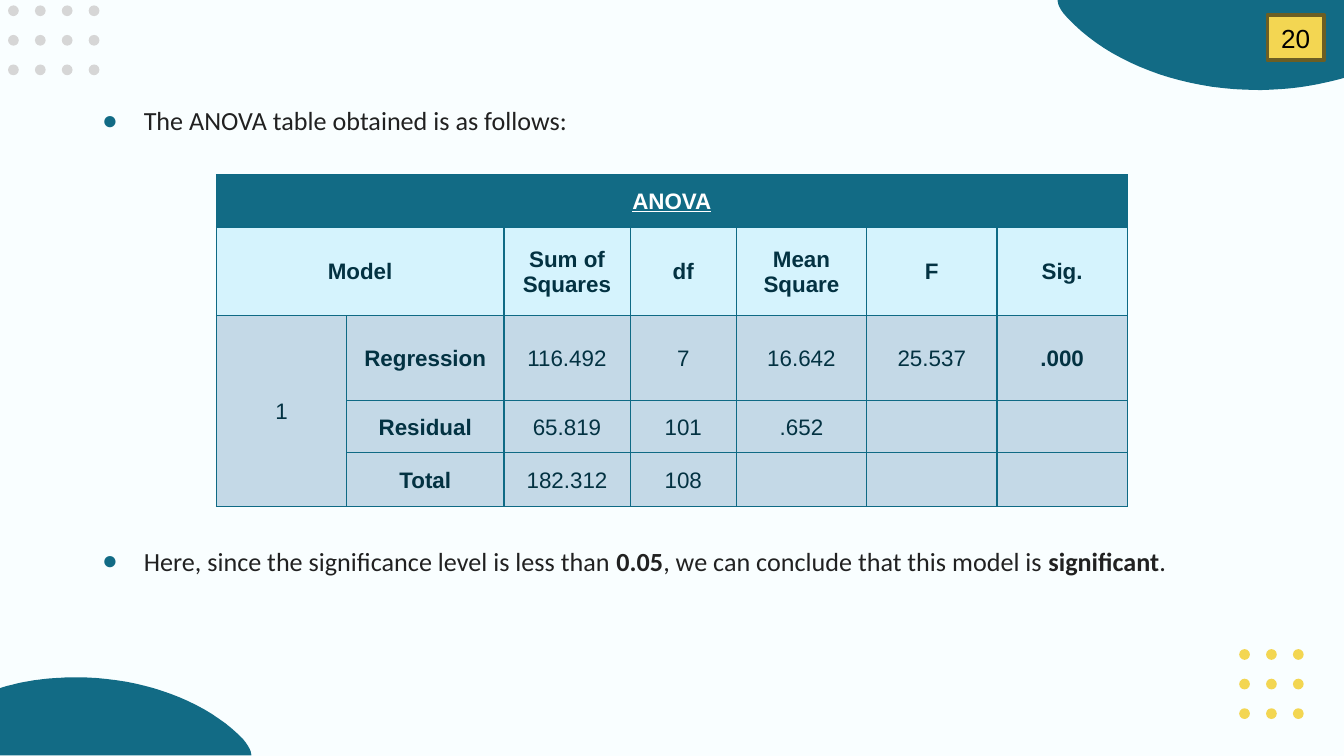
import pptx
import pptx.util
import pptx.dml.color
import pptx.enum.shapes
import pptx.enum.text
import pptx.oxml
import pptx.oxml.ns

Inches, Pt = pptx.util.Inches, pptx.util.Pt
RGB = pptx.dml.color.RGBColor
MIDDLE = pptx.enum.text.MSO_ANCHOR.MIDDLE
CENTER = pptx.enum.text.PP_ALIGN.CENTER
SHAPE = pptx.enum.shapes.MSO_SHAPE

WIDTH = Inches(10)
HEIGHT = WIDTH * 9 // 16

PAPER = RGB(0xF9, 0xFE, 0xFF)
TEAL = RGB(0x12, 0x6B, 0x85)
GRID = RGB(0x0F, 0x6A, 0x85)
PALE = RGB(0xD5, 0xF3, 0xFD)
STEEL = RGB(0xC4, 0xD9, 0xE7)
NAVY = RGB(0x03, 0x32, 0x42)
INK = RGB(0x21, 0x21, 0x21)
GREY = RGB(0xD6, 0xD6, 0xD6)
YELLOW = RGB(0xF3, 0xD6, 0x52)
BROWN = RGB(0x6B, 0x5E, 0x24)
WHITE = RGB(0xFF, 0xFF, 0xFF)
BLACK = RGB(0, 0, 0)

# Paragraphs: space before in points, then (text, bold) runs
BULLETS = [
    (0, [("The ANOVA table obtained is as follows:", False)]),
    (219, [("Here, since the significance level is less than ", False),
           ("0.05", True),
           (", we can conclude that this model is ", False),
           ("significant", True), (".", False)]),
]
ANOVA = [
    ["ANOVA", "", "", "", "", "", ""],
    ["Model", "", "Sum of Squares", "df", "Mean Square", "F", "Sig."],
    ["1", "Regression", "116.492", "7", "16.642", "25.537", ".000"],
    ["", "Residual", "65.819", "101", ".652", "", ""],
    ["", "Total", "182.312", "108", "", "", ""],
]
COLS = [0.97, 1.17, 0.94, 0.79, 0.97, 0.97, 0.97]
ROWS = [0.39, 0.66, 0.63, 0.39, 0.4]
MERGES = [((0, 0), (0, 6)), ((1, 0), (1, 1)), ((2, 0), (4, 0))]
ROW_FILLS = [TEAL, PALE, STEEL, STEEL, STEEL]

# Blobs: a start point, then line ends (1 point) or Bezier curves (3 points)
BLOBS = [
    ((0.57, 5.04), [[(0.38, 5.04), (0.19, 5.06), (0, 5.12)],
                    [(0, 5.62)], [(1.87, 5.62)],
                    [(1.87, 5.58), (1.84, 5.54), (1.81, 5.5)],
                    [(1.54, 5.22), (1.07, 5.04), (0.57, 5.04)]]),
    ((9.36, 0.67), [[(9.57, 0.67), (9.79, 0.64), (10, 0.58)],
                    [(10, 0)], [(7.87, 0)],
                    [(7.87, 0.05), (7.91, 0.1), (7.95, 0.14)],
                    [(8.25, 0.46), (8.78, 0.67), (9.36, 0.67)]]),
]
# Dot grids: left, top, columns, rows, colour
DOTS = [(0.06, 0.04, 4, 3, GREY), (9.22, 4.83, 3, 3, YELLOW)]
DOT, DOT_DX, DOT_DY = 0.08, 0.2, 0.22
CURVE_STEPS = 20
UNITS_PER_INCH = 1000


def style(r, size, face, colour, bold=False):
    r.font.size, r.font.name, r.font.bold = Pt(size), face, bold
    r.font.color.rgb = colour


def paint(sp, colour):
    sp.shadow.inherit = False
    sp.fill.solid()
    sp.fill.fore_color.rgb = colour
    sp.line.fill.background()


def curve(points):
    """Points along a cubic Bezier, without its start."""
    for i in range(1, CURVE_STEPS + 1):
        t = i / CURVE_STEPS
        weights = ((1 - t) ** 3, 3 * t * (1 - t) ** 2, 3 * t * t * (1 - t), t ** 3)
        yield tuple(sum(w * p[axis] for w, p in zip(weights, points)) for axis in (0, 1))


def add_blob(slide, start, segments):
    outline = [start]
    for seg in segments:
        outline += list(curve([outline[-1]] + seg)) if len(seg) == 3 else seg
    units = [(round(x * UNITS_PER_INCH), round(y * UNITS_PER_INCH)) for x, y in outline]
    fb = slide.shapes.build_freeform(*units[0], scale=Inches(1) / UNITS_PER_INCH)
    fb.add_line_segments(units[1:], close=True)
    paint(fb.convert_to_shape(), TEAL)


def add_dots(slide, left, top, cols, rows, colour):
    for col in range(cols):
        for row in range(rows):
            paint(slide.shapes.add_shape(
                SHAPE.OVAL, Inches(left + col * DOT_DX), Inches(top + row * DOT_DY),
                Inches(DOT), Inches(DOT)), colour)


def add_bullet(p):
    ns = pptx.oxml.ns.nsdecls("a")
    pPr = p._p.get_or_add_pPr()
    pPr.set("marL", str(Inches(0.31)))
    pPr.set("indent", str(-Inches(0.31)))
    for xml in (f'<a:buClr {ns}><a:srgbClr val="{TEAL}"/></a:buClr>',
                f'<a:buFont {ns} typeface="Arial"/>',
                f'<a:buChar {ns} char="●"/>'):
        pPr.append(pptx.oxml.parse_xml(xml))


def add_borders(cell):
    ns = pptx.oxml.ns.nsdecls("a")
    for side in ("lnL", "lnR", "lnT", "lnB"):
        cell._tc.get_or_add_tcPr().append(pptx.oxml.parse_xml(
            f'<a:{side} {ns} w="{Pt(0.75)}"><a:solidFill>'
            f'<a:srgbClr val="{GRID}"/></a:solidFill></a:{side}>'))


def fill_body(body):
    body.left, body.top, body.width, body.height = map(Inches, (0.66, 0.45, 8.68, 4.74))
    tf = body.text_frame
    tf.auto_size = pptx.enum.text.MSO_AUTO_SIZE.NONE
    tf.margin_left = tf.margin_right = tf.margin_bottom = Inches(0.1)
    tf.margin_top = Inches(0.33)
    tf.vertical_anchor = pptx.enum.text.MSO_ANCHOR.TOP
    for i, (space, runs) in enumerate(BULLETS):
        p = tf.add_paragraph() if i else tf.paragraphs[0]
        p.space_before = Pt(space)
        add_bullet(p)
        for text, bold in runs:
            r = p.add_run()
            r.text = text
            style(r, 14, "Calibri", INK, bold)


def add_anova(slide):
    table = slide.shapes.add_table(
        len(ROWS), len(COLS), Inches(1.61), Inches(1.3),
        Inches(sum(COLS)), Inches(sum(ROWS))).table
    table.first_row = table.horz_banding = False
    for column, width in zip(table.columns, COLS):
        column.width = Inches(width)
    for row, height in zip(table.rows, ROWS):
        row.height = Inches(height)
    for i, texts in enumerate(ANOVA):
        for j, text in enumerate(texts):
            cell = table.cell(i, j)
            add_borders(cell)
            cell.fill.solid()
            cell.fill.fore_color.rgb = ROW_FILLS[i]
            cell.vertical_anchor = MIDDLE
            cell.margin_left = cell.margin_right = cell.margin_top = Inches(0.01)
            cell.margin_bottom = 0
            if text:
                p = cell.text_frame.paragraphs[0]
                p.alignment = CENTER
                r = p.add_run()
                r.text = text
                bold = i < 2 or j == 1 or text == ".000"
                style(r, 12, "Arial", NAVY if i else WHITE, bold)
                r.font.underline = i == 0
    for first, last in MERGES:
        table.cell(*first).merge(table.cell(*last))


def add_page_badge(slide):
    sp = slide.shapes.add_shape(SHAPE.RECTANGLE, *map(Inches, (9.43, 0.11, 0.42, 0.34)))
    paint(sp, YELLOW)
    sp.line.color.rgb, sp.line.width = BROWN, Pt(2)
    tf = sp.text_frame
    tf.word_wrap = False
    tf.vertical_anchor = MIDDLE
    p = tf.paragraphs[0]
    p.alignment = CENTER
    r = p.add_run()
    r.text = "20"
    style(r, 14, "Arial", BLACK)


def main():
    prs = pptx.Presentation()
    prs.slide_width, prs.slide_height = WIDTH, HEIGHT
    slide = prs.slides.add_slide(prs.slide_layouts[1])
    slide.background.fill.solid()
    slide.background.fill.fore_color.rgb = PAPER
    title, body = slide.placeholders
    title._element.getparent().remove(title._element)
    for blob in BLOBS:
        add_blob(slide, *blob)
    for dots in DOTS:
        add_dots(slide, *dots)
    fill_body(body)
    add_anova(slide)
    add_page_badge(slide)
    prs.save("out.pptx")


if __name__ == "__main__":
    main()
